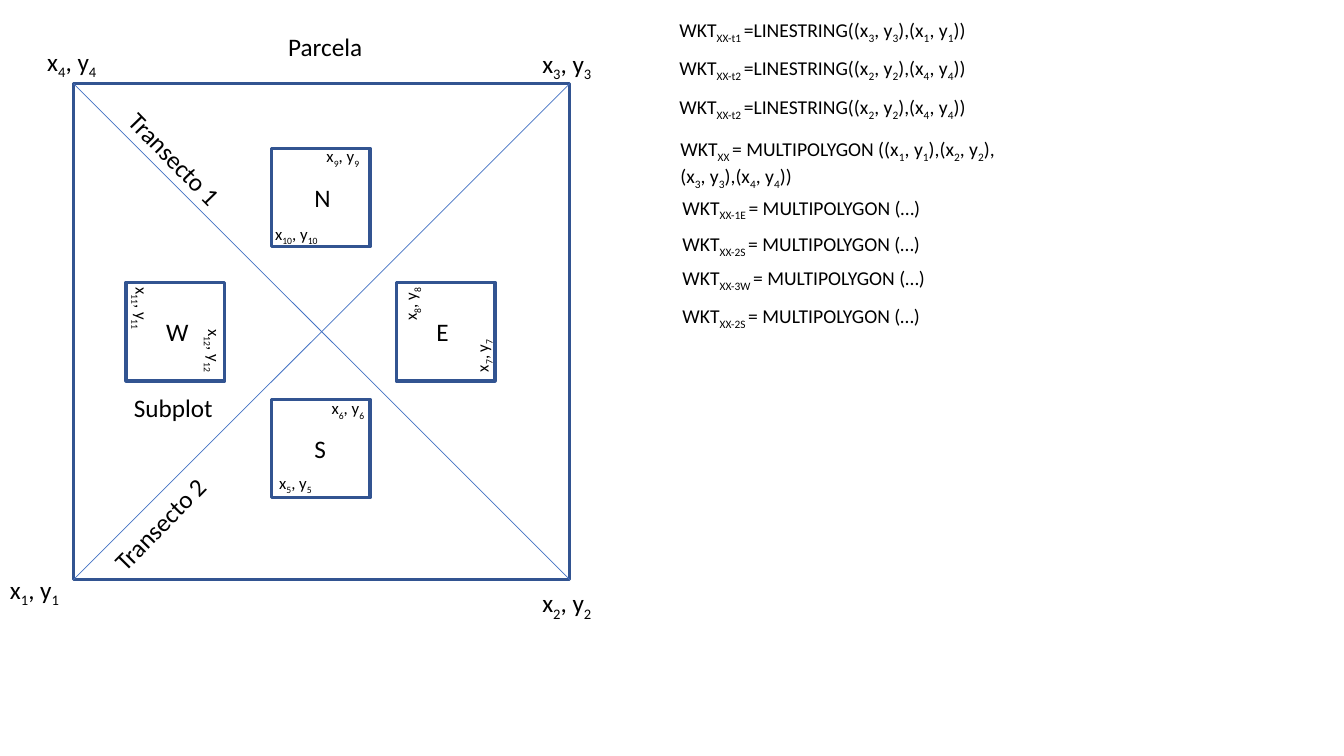
import pptx
import pptx.dml.color
import pptx.enum.shapes
import pptx.enum.text
import pptx.oxml
import pptx.oxml.ns
import pptx.util

Inches = pptx.util.Inches
PLOT_SIDE = 4.92
SUBPLOT_SIDE = 0.98
CORNERS = [(1, -0.73, 4.82), (2, 4.55, 4.95), (3, 4.55, -0.4), (4, -0.36, -0.42)]
SUBPLOTS = [
    ("N", 1.96, 0.64, 0.33, 0, [(10, -0.06, 0.7), (9, 0.45, -0.07)]),
    ("E", 3.2, 1.97, 0.3, 270, [(7, 0.58, 0.57), (8, -0.13, 0.06)]),
    ("S", 1.96, 3.13, 0.33, 0, [(5, -0.02, 0.68), (6, 0.5, -0.06)]),
    ("W", 0.52, 1.97, 0.3, 90, [(11, -0.17, 0.13), (12, 0.55, 0.55)]),
]


def color(value):
    """Turn a hex string into a colour."""
    return pptx.dml.color.RGBColor.from_string(value)


def point(number):
    """Write a coordinate pair, with its subscripts between tildes."""
    return f"x~{number}~, y~{number}~"


def add_text(page, text, left, top, width, height, size=18, turn=0, wrap=False):
    """Add a text box in which the pieces between tildes are subscripts."""
    box = page.shapes.add_textbox(Inches(left), Inches(top), Inches(width), Inches(height))
    box.rotation = turn
    box.text_frame.word_wrap = wrap
    box.text_frame.auto_size = pptx.enum.text.MSO_AUTO_SIZE.SHAPE_TO_FIT_TEXT
    para = box.text_frame.paragraphs[0]
    for index, piece in enumerate(text.split("~")):
        span = para.add_run()
        span.text = piece
        span.font.name = "Calibri"
        span.font.size = pptx.util.Pt(size)
        span.font.color.rgb = color("000000")
        if index % 2:
            span._r.get_or_add_rPr().set("baseline", "-25000")


def add_square(page, left, top, side):
    """Add an unfilled square outline."""
    square = page.shapes.add_shape(
        pptx.enum.shapes.MSO_SHAPE.RECTANGLE,
        Inches(left), Inches(top), Inches(side), Inches(side))
    square.shadow.inherit = False
    square.fill.background()
    square.line.color.rgb = color("325491")
    square.line.width = pptx.util.Pt(2.25)


def add_transect(page, left, top, right, bottom):
    """Add a thin straight line across the plot."""
    line = page.shapes.add_connector(
        pptx.enum.shapes.MSO_CONNECTOR.STRAIGHT,
        Inches(left), Inches(top), Inches(right), Inches(bottom))
    line.line.color.rgb = color("4472C4")
    line.line.width = pptx.util.Pt(0.5)
    line._element.spPr.append(pptx.oxml.parse_xml(
        f"<a:effectLst {pptx.oxml.ns.nsdecls('a')}/>"))


def add_subplot(page, left, top, letter, letter_left, turn, corners):
    """Draw one lettered subplot with its two corner coordinates."""
    add_square(page, left, top, SUBPLOT_SIDE)
    add_text(page, letter, left + letter_left, top + 0.29, 1.21, 0.4, wrap=True)
    for number, across, down in corners:
        width = 0.66 if number > 9 else 0.54
        add_text(page, point(number), left + across, top + down, width, 0.3, 12, turn)


def add_plot(page, left, top):
    """Draw the plot with its transects, subplots and labels."""
    right, bottom = left + PLOT_SIDE, top + PLOT_SIDE
    add_square(page, left, top, PLOT_SIDE)
    add_transect(page, left, top, right, bottom)
    add_transect(page, right, top, left, bottom)
    for letter, across, down, letter_left, turn, corners in SUBPLOTS:
        add_subplot(page, left + across, top + down, letter, letter_left, turn, corners)
    for number, across, down in CORNERS:
        add_text(page, point(number), left + across, top + down, 0.72, 0.4)
    add_text(page, "Parcela", left + 2.03, top - 0.57, 0.94, 0.4)
    add_text(page, "Subplot", left + 0.5, top + 3.01, 0.99, 0.4)
    add_text(page, "Transecto 1", left + 0.32, top + 0.55, 1.38, 0.4, turn=45.8)
    add_text(page, "Transecto 2", left + 0.17, top + 4.16, 1.38, 0.4, turn=314.5)


def add_formulas(page, left, top):
    """List the geometry formulas beside the plot."""
    lines = [("t1", 3, 1), ("t2", 2, 4), ("t2", 2, 4)]
    for index, (name, start, end) in enumerate(lines):
        text = f"WKT~XX-{name} ~=LINESTRING(({point(start)}),({point(end)}))"
        add_text(page, text, left, top + index * 0.38, 3.36, 0.34, 14, wrap=True)
    first, second, third, fourth = [f"({point(number)})" for number in range(1, 5)]
    text = f"WKT~XX ~= MULTIPOLYGON ({first},{second}, {third},{fourth})"
    add_text(page, text, left + 0.01, top + 1.18, 3.43, 0.57, 14, wrap=True)
    for name, down in [("1E", 1.76), ("2S", 2.12), ("3W", 2.46), ("2S", 2.84)]:
        text = f"WKT~XX-{name} ~= MULTIPOLYGON (…)"
        add_text(page, text, left + 0.03, top + down, 3.43, 0.34, 14, wrap=True)


deck = pptx.Presentation()
deck.slide_width = Inches(13.33)
deck.slide_height = Inches(7.5)
slide = deck.slides.add_slide(deck.slide_layouts[6])
add_plot(slide, 0.73, 0.83)
add_formulas(slide, 6.64, 0.13)
deck.save("out.pptx")
